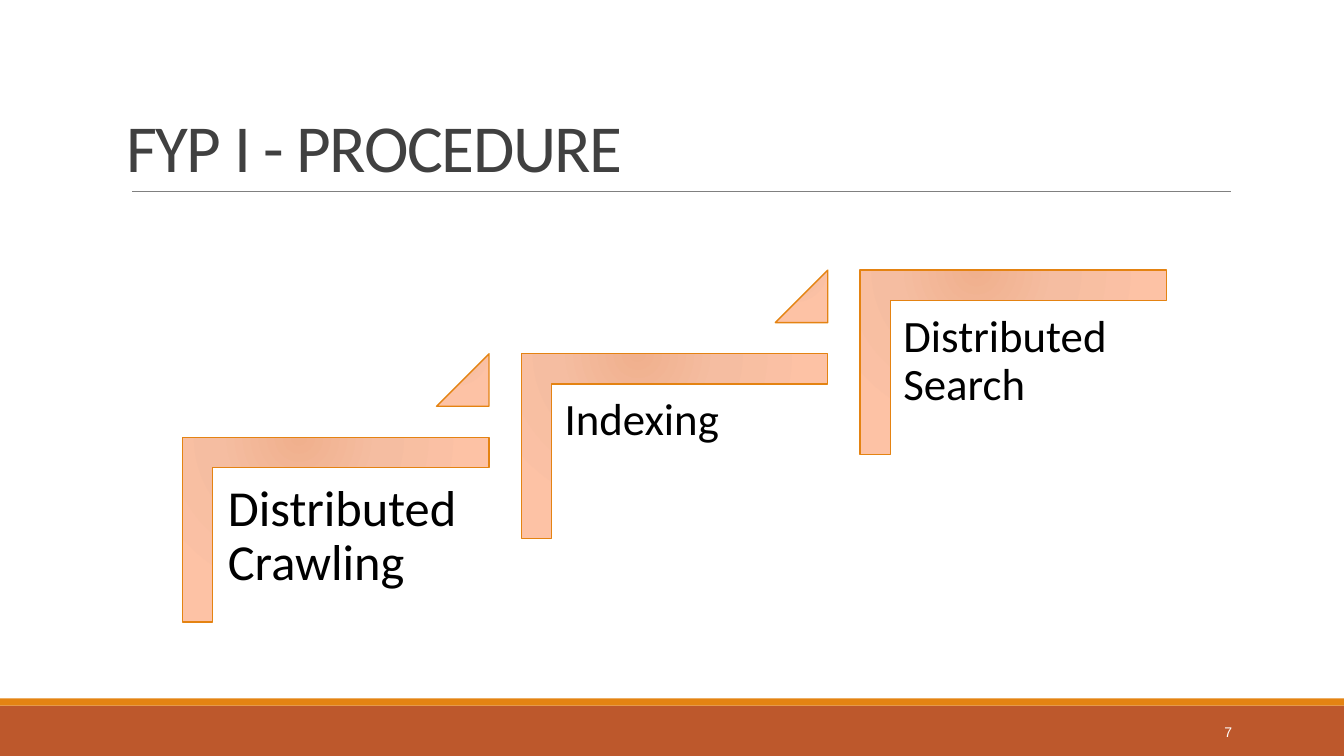
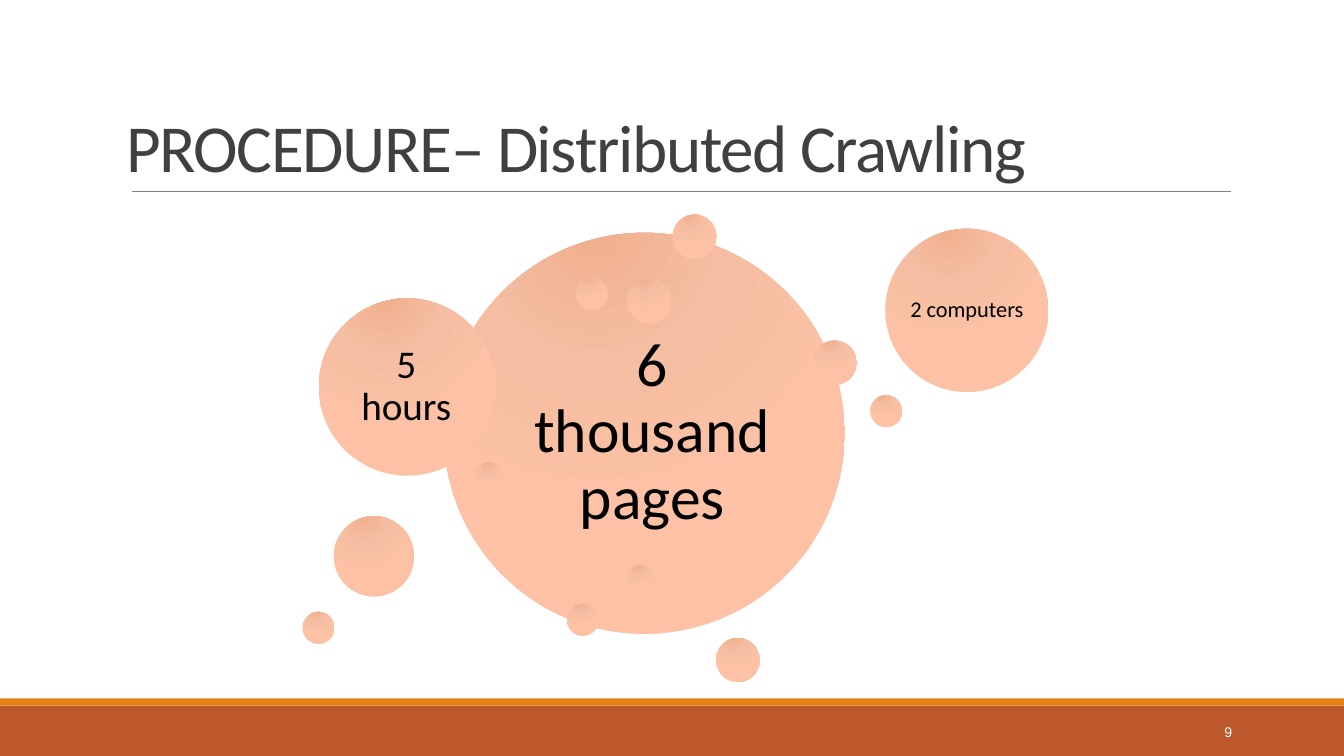
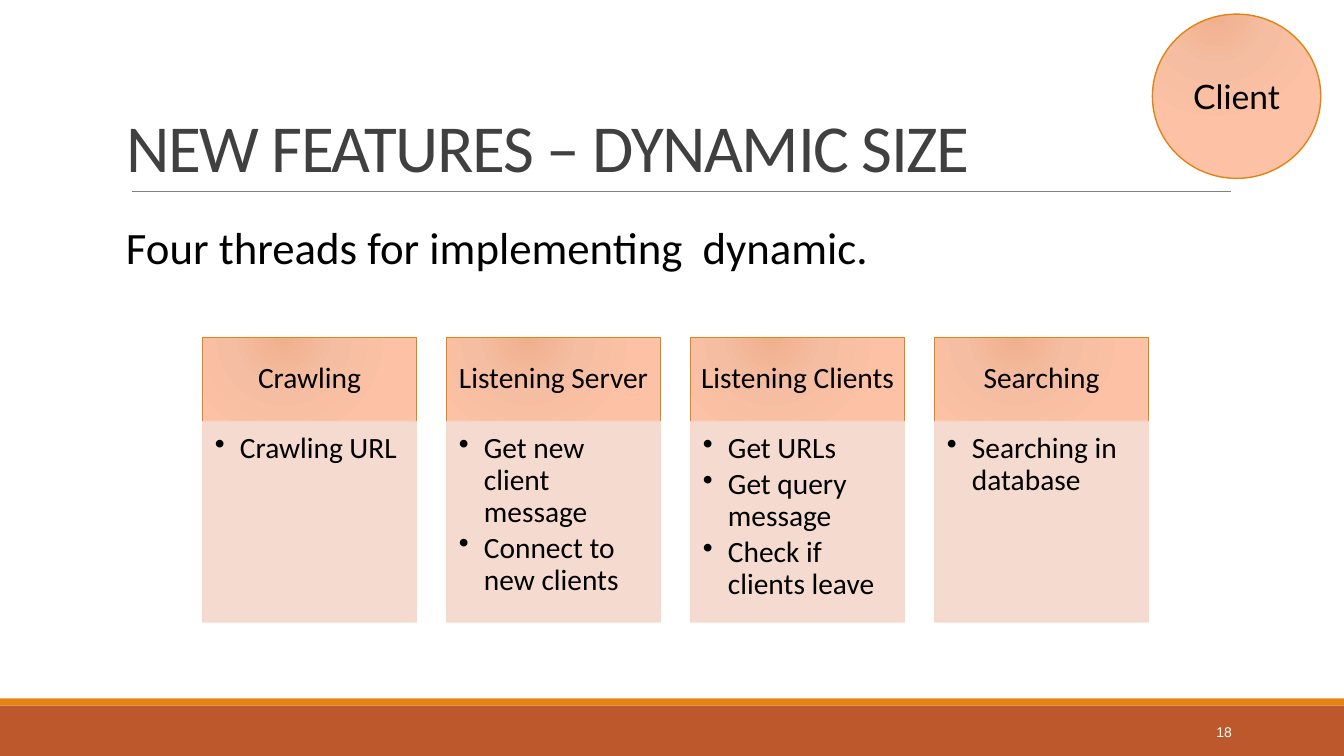
from lxml import etree
from pptx import Presentation
from pptx.dml.color import RGBColor
from pptx.enum.shapes import MSO_CONNECTOR, MSO_SHAPE
from pptx.enum.text import MSO_ANCHOR, MSO_AUTO_SIZE, PP_ALIGN
from pptx.oxml import parse_xml
from pptx.oxml.ns import nsdecls, qn
from pptx.util import Inches, Pt

RECTANGLE, OVAL = MSO_SHAPE.RECTANGLE, MSO_SHAPE.OVAL
STRAIGHT = MSO_CONNECTOR.STRAIGHT
TOP, MIDDLE, BOTTOM = MSO_ANCHOR.TOP, MSO_ANCHOR.MIDDLE, MSO_ANCHOR.BOTTOM
LEFT, CENTER, RIGHT = PP_ALIGN.LEFT, PP_ALIGN.CENTER, PP_ALIGN.RIGHT
NO_AUTOFIT = MSO_AUTO_SIZE.NONE

# Content
TITLES = [
    ("FYP I - PROCEDURE", "7"),
    ("PROCEDURE– Distributed Crawling", "9"),
    ("NEW FEATURES – DYNAMIC SIZE", "18"),
]
STEPS = [("Distributed Crawling", 36, 0.15), ("Indexing", 32, 0.13),
         ("Distributed Search", 32, 0.13)]
# Bubbles from back to front: left, top, diameter
SMALL, MEDIUM = 0.32, 0.44
BUBBLES = [
    (4.4, 2.31, 3.98), (6.67, 2.13, MEDIUM), (5.62, 5.99, SMALL),
    (8.63, 3.92, SMALL), (7.1, 6.33, MEDIUM), (5.71, 2.76, SMALL),
    (4.7, 4.59, SMALL), (3.16, 2.96, 1.76), (6.22, 2.77, MEDIUM),
    (3.31, 5.12, 0.8), (8.78, 2.27, 1.62), (8.06, 3.38, MEDIUM),
    (3, 6.07, SMALL), (6.2, 5.61, SMALL),
]
# Captions: text, area, size, inset, space before
CAPTIONS = [
    ("6 thousand pages", (4.98, 3.08, 2.98, 2.43), 44, 0.18, 18),
    ("5 hours", (3.41, 2.99, 1.24, 1.69), 28, 0.12, 11),
    ("2 computers", (8.94, 2.76, 1.3, 0.63), 16, 0.07, 6),
]
LEAD = "Four threads for implementing  dynamic."
BADGE = "Client"
THREADS = [
    ("Crawling", ["Crawling URL"]),
    ("Listening Server", ["Get new client message", "Connect to new clients"]),
    ("Listening Clients", ["Get URLs", "Get query message",
                           "Check if clients leave"]),
    ("Searching", ["Searching in database"]),
]

# Shared look
WIDTH, HEIGHT = 13.33, 7.5
BLACK, WHITE, TITLE_GREY, RULE_GREY = "000000", "FFFFFF", "404040", "808080"
RUST, ORANGE, BLUSH = "BD582C", "E48312", "F5D8CA"
GLOW = [(0, "F0B08D"), (45, "F5BDA1"), (100, "FDC2A5")]
TITLE_AREA = (1.2, 0.31, 11, 1.59)


def color(value):
    return RGBColor.from_string(value)


def inches(*lengths):
    return [Inches(length) for length in lengths]


def outline(shape, line):
    if line:
        shape.line.color.rgb = color(line)
        shape.line.width = Pt(1)
    else:
        shape.line.fill.background()
    shape.shadow.inherit = False


def glow(shape, line=None):
    """Give a shape the peach radial gradient."""
    stops = "".join(f'<a:gs pos="{place * 1000}"><a:srgbClr val="{value}"/></a:gs>'
                    for place, value in GLOW)
    gradient = parse_xml(
        f'<a:gradFill {nsdecls("a")} rotWithShape="1"><a:gsLst>{stops}</a:gsLst>'
        '<a:path path="circle"><a:fillToRect l="38000" t="-20000" r="62000" '
        'b="120000"/></a:path></a:gradFill>')
    shape.fill.background()
    properties = shape.element.spPr
    properties.replace(properties.find(qn("a:noFill")), gradient)
    outline(shape, line)


def add_block(page, kind, area, fill=None, line=None):
    shape = page.shapes.add_shape(kind, *inches(*area))
    if fill:
        shape.fill.solid()
        shape.fill.fore_color.rgb = color(fill)
        outline(shape, line)
    else:
        glow(shape, line)
    return shape


def add_outline(page, points, line):
    corners = [inches(*point) for point in points]
    builder = page.shapes.build_freeform(*corners[0])
    builder.add_line_segments(corners[1:], close=True)
    glow(builder.convert_to_shape(), line)


def write(shape, lines, size, font="Calibri", ink=BLACK, align=LEFT,
          anchor=TOP, inset=0.05, spacing=None, before=0):
    frame = shape.text_frame
    frame.text = "\n".join(lines)
    frame.word_wrap = True
    frame.auto_size = NO_AUTOFIT
    frame.vertical_anchor = anchor
    frame.margin_left = frame.margin_right = Inches(inset)
    frame.margin_top = frame.margin_bottom = Inches(inset)
    for para in frame.paragraphs:
        para.alignment = align
        para.space_before = Pt(before)
        if spacing:
            para.line_spacing = spacing
        for span in para.runs:
            span.font.size = Pt(size)
            span.font.name = font
            span.font.color.rgb = color(ink)
    return frame


def add_text(page, area, lines, size, **style):
    return write(page.shapes.add_textbox(*inches(*area)), lines, size, **style)


def add_bullets(frame):
    for para in frame.paragraphs:
        para.level = 1
        properties = para._p.get_or_add_pPr()
        properties.set("marL", str(Inches(0.25)))
        properties.set("indent", str(Inches(-0.25)))
        etree.SubElement(properties, qn("a:buChar")).set("char", "•")


def furnish_layout(page, layout):
    """Draw the bands and the title rule, then hand them to the layout."""
    rule = page.shapes.add_connector(STRAIGHT, *inches(1.31, 1.9, 12.21, 1.9))
    rule.line.color.rgb = color(RULE_GREY)
    rule.line.width = Pt(0.5)
    etree.SubElement(rule.element.spPr, qn("a:effectLst"))
    parts = [add_block(page, RECTANGLE, (0, 7, WIDTH, 0.5), RUST),
             add_block(page, RECTANGLE, (0, 6.93, WIDTH, 0.07), ORANGE), rule]
    for part in parts:
        layout.shapes.element.append(part.element)


def add_page(deck, layout, title, number):
    page = deck.slides.add_slide(layout)
    heading = page.shapes.title
    heading.left, heading.top, heading.width, heading.height = inches(*TITLE_AREA)
    frame = write(heading, [title], 48, ink=TITLE_GREY, anchor=BOTTOM, spacing=0.85)
    frame.paragraphs[0].runs[0].font._element.set("spc", "-100")
    add_text(page, (12.01, 7.14, 0.26, 0.25), [number], 10, font="Arial",
             ink=WHITE, align=RIGHT, anchor=MIDDLE)
    return page


def draw_steps(page):
    across, rise = 3.36, 0.83
    wide, tall, thick, tip = 3.04, 1.83, 0.3, 0.52
    for index, (label, size, inset) in enumerate(STEPS):
        left, top = 1.81 + index * across, 4.34 - index * rise
        right, bottom = left + wide, top + tall
        add_outline(page, [(right, top), (right, top + thick),
                           (left + thick, top + thick), (left + thick, bottom),
                           (left, bottom), (left, top)], ORANGE)
        add_text(page, (left + thick, top + thick, 2.75, 1.43), [label], size,
                 inset=inset, spacing=0.9, before=size * 0.42)
        if index < len(STEPS) - 1:
            peak = top - rise
            add_outline(page, [(right - tip, peak + tip), (right, peak),
                               (right, peak + tip)], ORANGE)


def draw_bubbles(page):
    for left, top, diameter in BUBBLES:
        add_block(page, OVAL, (left, top, diameter, diameter))
    for label, area, size, inset, before in CAPTIONS:
        add_text(page, area, [label], size, align=CENTER, anchor=MIDDLE,
                 inset=inset, spacing=0.9, before=before)


def draw_threads(page):
    left, top, wide, pitch, head, body = 2.01, 3.35, 2.12, 2.42, 0.83, 1.99
    for index, (name, tasks) in enumerate(THREADS):
        x = left + index * pitch
        header = add_block(page, RECTANGLE, (x, top, wide, head), line=ORANGE)
        write(header, [name], 21, align=CENTER, anchor=MIDDLE, inset=0.09,
              spacing=0.9, before=8)
        panel = add_block(page, RECTANGLE, (x, top + head, wide, body), BLUSH, BLUSH)
        for tint in panel.element.spPr.iter(qn("a:srgbClr")):
            etree.SubElement(tint, qn("a:alpha")).set("val", "90000")
        add_bullets(write(panel, tasks, 21, inset=0.12, spacing=0.9, before=3))
    add_text(page, (1.2, 2.13, 11.3, 0.63), [LEAD], 32)
    badge = add_block(page, OVAL, (11.43, 0.14, 1.67, 1.63), line=ORANGE)
    write(badge, [BADGE], 24, font="Lato", align=CENTER, anchor=MIDDLE)


# Build the deck
deck = Presentation()
deck.slide_width, deck.slide_height = inches(WIDTH, HEIGHT)
title_only = deck.slide_layouts[5]
pages = [add_page(deck, title_only, *entry) for entry in TITLES]
furnish_layout(pages[0], title_only)
for page, draw in zip(pages, (draw_steps, draw_bubbles, draw_threads)):
    draw(page)
deck.save("out.pptx")
